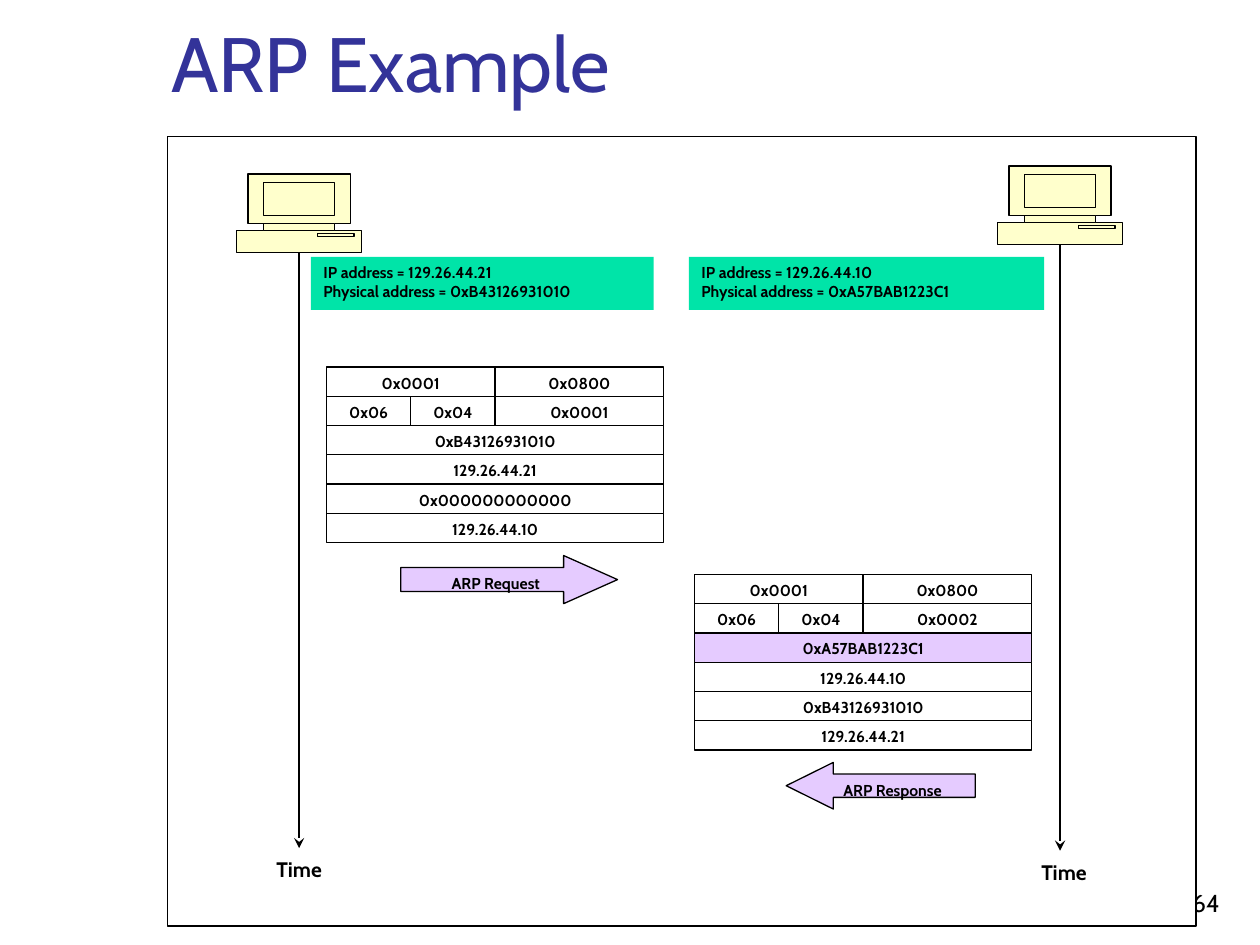
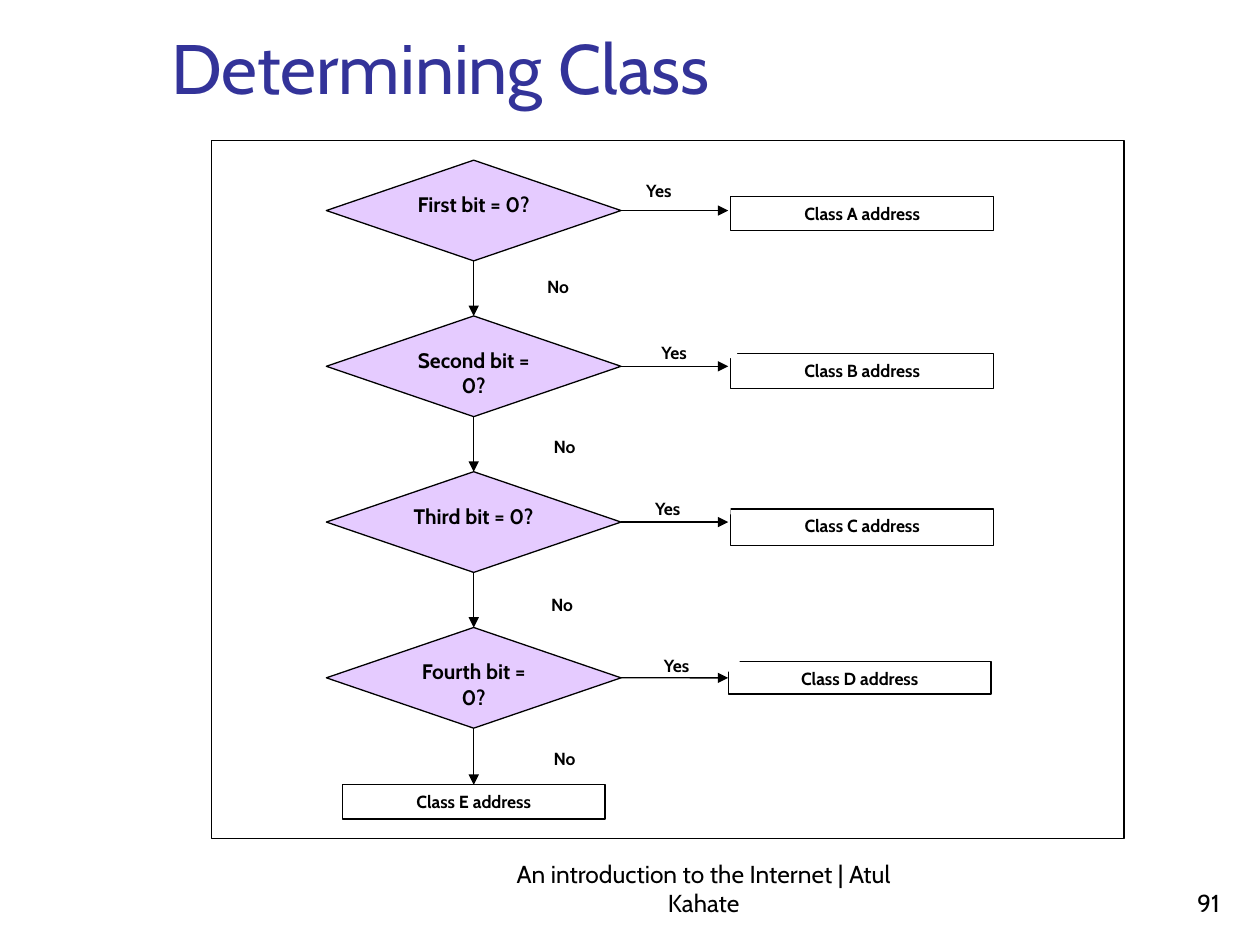
from dataclasses import dataclass

from lxml.etree import SubElement
from pptx import Presentation
from pptx.dml.color import RGBColor
from pptx.enum.shapes import MSO_CONNECTOR, MSO_SHAPE
from pptx.enum.text import MSO_ANCHOR, PP_ALIGN
from pptx.oxml.ns import qn
from pptx.shapes.autoshape import Shape
from pptx.shapes.connector import Connector
from pptx.slide import Slide
from pptx.util import Cm, Pt

FONT = "Cabin"
BLACK = RGBColor(0x00, 0x00, 0x00)
WHITE = RGBColor(0xFF, 0xFF, 0xFF)
NAVY = RGBColor(0x33, 0x33, 0x99)
PURPLE = RGBColor(0xCC, 0x99, 0xFF)
CREAM = RGBColor(0xFF, 0xFF, 0xCC)
GREEN = RGBColor(0x00, 0xE4, 0xA8)


@dataclass
class Area:
    left: float
    top: float
    width: float
    height: float

    def lengths(self) -> tuple:
        return Cm(self.left), Cm(self.top), Cm(self.width), Cm(self.height)


@dataclass
class Host:
    x: float
    top: float
    card: Area
    ip: str
    mac: str
    time: Area


@dataclass
class Packet:
    left: float
    top: float
    rows: list
    marked: str = ""


@dataclass
class Step:
    ask: str
    yes: tuple
    no: tuple
    result: str
    box: Area


# Shared drawing helpers
def write(shape: Shape, text: str, *, size: float = 9, bold: bool = True,
          color: RGBColor = BLACK, align: PP_ALIGN = PP_ALIGN.CENTER,
          anchor: MSO_ANCHOR = MSO_ANCHOR.TOP) -> None:
    frame = shape.text_frame
    frame.word_wrap = True
    frame.vertical_anchor = anchor
    frame.text = text
    for para in frame.paragraphs:
        para.alignment = align
        para.font.name = FONT
        para.font.size = Pt(size)
        para.font.bold = bold
        para.font.color.rgb = color


def paint(shape: Shape, fill: RGBColor, edge: bool = True) -> None:
    shape.shadow.inherit = False
    shape.fill.solid()
    shape.fill.fore_color.rgb = fill
    if fill == PURPLE:  # purple is always half transparent
        tint = shape.fill._xPr.find(qn("a:solidFill"))[0]
        SubElement(tint, qn("a:alpha")).set("val", "50000")
    if edge:
        shape.line.color.rgb = BLACK
        shape.line.width = Pt(0.75)
    else:
        shape.line.fill.background()


def block(slide: Slide, area: Area, text: str = "", *, fill: RGBColor = WHITE,
          edge: bool = True, kind: MSO_SHAPE = MSO_SHAPE.RECTANGLE,
          **style) -> Shape:
    shape = slide.shapes.add_shape(kind, *area.lengths())
    paint(shape, fill, edge)
    if text:
        write(shape, text, **style)
    return shape


def arrow(slide: Slide, start: tuple, end: tuple, head: str) -> Connector:
    points = [Cm(v) for v in (*start, *end)]
    line = slide.shapes.add_connector(MSO_CONNECTOR.STRAIGHT, *points)
    line.line.color.rgb = BLACK
    line.line.width = Pt(0.75)
    SubElement(line.line._get_or_add_ln(), qn("a:tailEnd")).set("type", head)
    SubElement(line._element.spPr, qn("a:effectLst"))
    return line


def label(slide: Slide, area: Area, text: str, **style) -> None:
    box = slide.shapes.add_textbox(*area.lengths())
    write(box, text, bold=False, anchor=MSO_ANCHOR.BOTTOM, **style)


def start(deck: Presentation, title: str, size: int, page: str,
          frame: Area, footer: str = "") -> Slide:
    slide = deck.slides.add_slide(deck.slide_layouts[6])
    if footer:
        label(slide, Area(10.16, 17.35, 8.05, 1.27), footer, size=14)
    label(slide, Area(19.56, 17.35, 5.28, 1.27), page, size=14,
          align=PP_ALIGN.RIGHT)
    label(slide, Area(3.2, 0.58, 21.64, 1.73), title, size=size, color=NAVY,
          align=PP_ALIGN.LEFT)
    block(slide, frame)
    return slide


# ARP exchange
HOSTS = [
    Host(6.03, 3.51, Area(6.27, 5.18, 6.91, 1.07), "129.26.44.21",
         "0xB43126931010", Area(5, 17.15, 2.06, 0.81)),
    Host(21.37, 3.35, Area(13.89, 5.18, 7.16, 1.07), "129.26.44.10",
         "0xA57BAB1223C1", Area(20.42, 17.2, 2.06, 0.81)),
]
LEFT_HOST, RIGHT_HOST = HOSTS
PACKETS = [
    Packet(6.58, 7.4, [
        ["0x0001", "0x0800"], ["0x06", "0x04", "0x0001"],
        [LEFT_HOST.mac], [LEFT_HOST.ip],
        ["0x000000000000"], [RIGHT_HOST.ip]]),
    Packet(14, 11.58, [
        ["0x0001", "0x0800"], ["0x06", "0x04", "0x0002"],
        [RIGHT_HOST.mac], [RIGHT_HOST.ip],
        [LEFT_HOST.mac], [LEFT_HOST.ip]], marked=RIGHT_HOST.mac),
]
QUARTER, ROW = 1.7, 0.59
SPANS = {1: [4], 2: [2, 2], 3: [1, 1, 2]}  # cell widths in quarters
CASE = 1.58  # height of a computer


def draw_host(slide: Slide, host: Host) -> None:
    x, top = host.x, host.top
    half = [(1.03, 0), (1.03, 0.99), (0.72, 0.99), (0.72, 1.14),
            (1.26, 1.14), (1.26, CASE)]
    ring = half + [(-dx, dy) for dx, dy in reversed(half)]
    dots = [(Cm(x + dx), Cm(top + dy)) for dx, dy in ring]
    pen = slide.shapes.build_freeform(*dots[0])
    pen.add_line_segments(dots[1:], close=True)
    paint(pen.convert_to_shape(), CREAM)
    # Neck, screen and disk slot
    for dx, dy, width, height in [(-0.72, 0.99, 1.44, 0.15),
                                  (-0.72, 0.17, 1.44, 0.66),
                                  (0.37, 1.2, 0.74, 0.06)]:
        block(slide, Area(x + dx, top + dy, width, height), fill=CREAM)
    block(slide, host.card,
          f"IP address = {host.ip}\nPhysical address = {host.mac}",
          fill=GREEN, edge=False, align=PP_ALIGN.LEFT)
    arrow(slide, (x, top + CASE), (x, host.time.top - 0.05), "stealth")
    block(slide, host.time, "Time", edge=False, size=12)


def draw_packet(slide: Slide, packet: Packet) -> None:
    for i, row in enumerate(packet.rows):
        left = packet.left
        for text, span in zip(row, SPANS[len(row)]):
            width = span * QUARTER
            fill = PURPLE if text == packet.marked else WHITE
            block(slide, Area(left, packet.top + i * ROW, width, ROW), text,
                  fill=fill)
            left += width


def arp_slide(deck: Presentation) -> None:
    slide = start(deck, "ARP Example", 44, "64",
                  Area(3.38, 2.75, 20.73, 15.92))
    for packet in PACKETS:
        draw_packet(slide, packet)
    for host in HOSTS:
        draw_host(slide, host)
    for text, kind, area, tip in [
            ("ARP Request", MSO_SHAPE.RIGHT_ARROW,
             Area(8.08, 11.2, 4.37, 0.97), 1.12),
            ("ARP Response", MSO_SHAPE.LEFT_ARROW,
             Area(15.85, 15.37, 3.81, 0.94), 1.01)]:
        shape = block(slide, area, text, kind=kind, fill=PURPLE)
        shape.adjustments[1] = tip


# Address class flow
STEPS = [
    Step("First bit = 0?", (12.01, 3.51), (9.98, 5.44),
         "Class A address", Area(14.73, 3.96, 5.3, 0.69)),
    Step("Second bit = 0?", (12.32, 6.76), (10.11, 8.66),
         "Class B address", Area(14.73, 7.13, 5.3, 0.71)),
    Step("Third bit = 0?", (12.19, 9.91), (10.06, 11.86),
         "Class C address", Area(14.73, 10.26, 5.3, 0.74)),
    Step("Fourth bit = 0?", (12.37, 13.08), (10.11, 14.96),
         "Class D address", Area(14.68, 13.34, 5.3, 0.65)),
]
PITCH = 3.14


def class_slide(deck: Presentation) -> None:
    slide = start(deck, "Determining Class", 40, "91",
                  Area(4.27, 2.84, 18.39, 14.07),
                  "An introduction to the Internet | Atul Kahate")
    tests = [block(slide, Area(6.58, 3.23 + i * PITCH, 5.94, 2.03), step.ask,
                   kind=MSO_SHAPE.FLOWCHART_DECISION, fill=PURPLE, size=12)
             for i, step in enumerate(STEPS)]
    last = block(slide, Area(6.9, 15.82, 5.3, 0.69), "Class E address",
                 size=10)
    for step, test, below in zip(STEPS, tests, tests[1:] + [last]):
        box = block(slide, step.box, step.result, size=10)
        # The yes branch stays level with the middle of the test
        level = (test.top + test.height / 2) / Cm(1)
        yes = arrow(slide, (12.52, level), (14.68, level), "triangle")
        yes.begin_connect(test, 3)
        if step is STEPS[-1]:
            yes.end_connect(box, 1)
        no = arrow(slide, (0, 0), (0, 0), "triangle")
        no.begin_connect(test, 2)
        no.end_connect(below, 0)
        for text, spot in (("Yes", step.yes), ("No", step.no)):
            block(slide, Area(*spot, 2.54, 0.46), text, edge=False, size=10)


def main() -> None:
    deck = Presentation()
    deck.slide_width, deck.slide_height = Cm(25.4), Cm(19.05)
    arp_slide(deck)
    class_slide(deck)
    deck.save("out.pptx")


if __name__ == "__main__":
    main()
